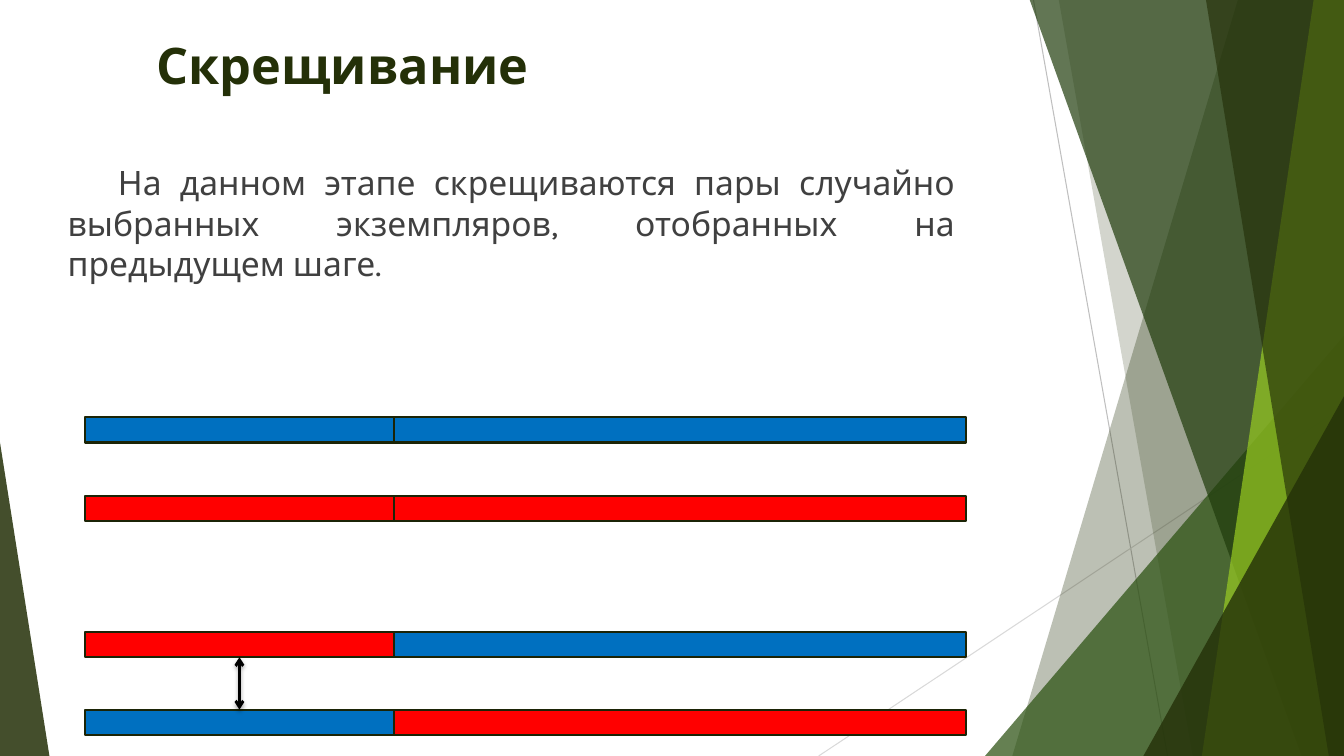
"""Build the slide on crossover: four two-part bars beside a band of green facets."""
import pptx
import pptx.util
import pptx.dml.color
import pptx.enum.shapes
import pptx.enum.text
import pptx.oxml
import pptx.oxml.ns

RGBColor = pptx.dml.color.RGBColor
SHAPE = pptx.enum.shapes.MSO_SHAPE
STRAIGHT = pptx.enum.shapes.MSO_CONNECTOR.STRAIGHT
ALIGN = pptx.enum.text.PP_ALIGN
DARK_GREEN = RGBColor(0x24, 0x30, 0x08)
FOREST = RGBColor(0x2A, 0x50, 0x10)
DEEP_FOREST = RGBColor(0x20, 0x3C, 0x0C)
LIME = RGBColor(0x99, 0xCC, 0x22)
BODY_GRAY = RGBColor(0x40, 0x40, 0x40)
BLUE = RGBColor(0x00, 0x70, 0xC0)
RED = RGBColor(0xFF, 0x00, 0x00)
OUTLINE = RGBColor(0x1B, 0x24, 0x06)
BLACK = RGBColor(0x00, 0x00, 0x00)
LINE_GRAY = RGBColor(0xBF, 0xBF, 0xBF)
PALE_GRAY = RGBColor(0xD9, 0xD9, 0xD9)
PX = 9144
WIDTH, HEIGHT = 1333, 750


def paint(shape, color, opacity=100):
    """Fill a shape, without its shadow, at the given percent opacity."""
    shape.shadow.inherit = False
    shape.fill.solid()
    shape.fill.fore_color.rgb = color
    if opacity < 100:
        shade = shape.fill._xPr.find(".//" + pptx.oxml.ns.qn("a:srgbClr"))
        alpha = shade.makeelement(pptx.oxml.ns.qn("a:alpha"), {"val": str(opacity * 1000)})
        shade.append(alpha)


def draw_line(start, end, color, weight, effects=""):
    """Draw a straight line with only the effects given."""
    line = page.shapes.add_connector(STRAIGHT, *[value * PX for value in start + end])
    line.line.color.rgb = color
    line.line.width = pptx.util.Pt(weight)
    namespace = pptx.oxml.ns.nsdecls("a")
    line._element.spPr.append(
        pptx.oxml.parse_xml(f"<a:effectLst {namespace}>{effects}</a:effectLst>"))
    return line


deck = pptx.Presentation()
deck.slide_width, deck.slide_height = WIDTH * PX, HEIGHT * PX
page = deck.slides.add_slide(deck.slide_layouts[1])

draw_line((1025, 0), (1158, 750), LINE_GRAY, 0.75)
draw_line((1333, 403), (812, 750), PALE_GRAY, 0.75)

facets = [
    ("band", 1228, 1004, DARK_GREEN, 30),
    ("band", 1050, 1183, DARK_GREEN, 20),
    ("triangle", (977, 333, 356, 417), 1, FOREST, 72),
    ("band", 1021, 1291, DEEP_FOREST, 70),
    ("band", 1303, 1192, LIME, 70),
    ("band", 1196, 1318, DARK_GREEN, 65),
    ("triangle", (1134, 393, 199, 357), 1, DARK_GREEN, 80),
    ("triangle", (0, 439, 49, 311), 0, DARK_GREEN, 85),
]
for kind, first, second, color, opacity in facets:
    if kind == "band":
        outline = page.shapes.build_freeform(first, -1, scale=PX)
        outline.add_line_segments([(WIDTH, -1), (WIDTH, HEIGHT), (second, HEIGHT)])
        facet = outline.convert_to_shape()
    else:
        facet = page.shapes.add_shape(
            SHAPE.ISOSCELES_TRIANGLE, *[value * PX for value in first])
        facet.adjustments[0] = second
    paint(facet, color, opacity)
    facet.line.fill.background()

texts = [
    (page.shapes.title, (145, 29, 900, 125), "Скрещивание", 36, True, DARK_GREEN, ALIGN.LEFT),
    (page.placeholders[1], (57, 156, 900, 228),
     "На данном этапе скрещиваются пары случайно выбранных экземпляров, "
     "отобранных на предыдущем шаге.", 24, False, BODY_GRAY, ALIGN.JUSTIFY),
]
for box, place, words, size, bold, color, alignment in texts:
    box.left, box.top, box.width, box.height = [value * PX for value in place]
    frame = box.text_frame
    frame.word_wrap = True
    frame.auto_size = pptx.enum.text.MSO_AUTO_SIZE.NONE
    frame.vertical_anchor = pptx.enum.text.MSO_ANCHOR.TOP
    para = frame.paragraphs[0]
    para.alignment = alignment
    span = para.add_run()
    span.text = words
    span.font.name = "Karla"
    span.font.size = pptx.util.Pt(size)
    span.font.bold = bold
    span.font.color.rgb = color

para.space_before = pptx.util.Pt(10)
properties = para._p.get_or_add_pPr()
properties.set("marL", "0")
properties.set("indent", str(50 * PX))
properties.append(properties.makeelement(pptx.oxml.ns.qn("a:buNone"), {}))

heads = []
for top, head_color, tail_color in [
        (414, BLUE, BLUE), (492, RED, RED), (627, RED, BLUE), (704, BLUE, RED)]:
    for left, width, color in [(84, 307, head_color), (391, 567, tail_color)]:
        part = page.shapes.add_shape(
            SHAPE.RECTANGLE, left * PX, top * PX, width * PX, 25 * PX)
        paint(part, color)
        part.line.color.rgb = OUTLINE
        part.line.width = pptx.util.Pt(1.5)
        if left == 84:
            heads.append(part)

swap = draw_line(
    (237, 652), (237, 704), BLACK, 2,
    '<a:outerShdw blurRad="38100" dist="25400" dir="5400000" rotWithShape="0">'
    '<a:srgbClr val="000000"><a:alpha val="35000"/></a:srgbClr></a:outerShdw>')
swap.begin_connect(heads[2], 2)
swap.end_connect(heads[3], 0)
stroke = swap.line._get_or_add_ln()
for end in ("a:headEnd", "a:tailEnd"):
    stroke.append(stroke.makeelement(pptx.oxml.ns.qn(end), {"type": "arrow"}))

deck.save("out.pptx")
